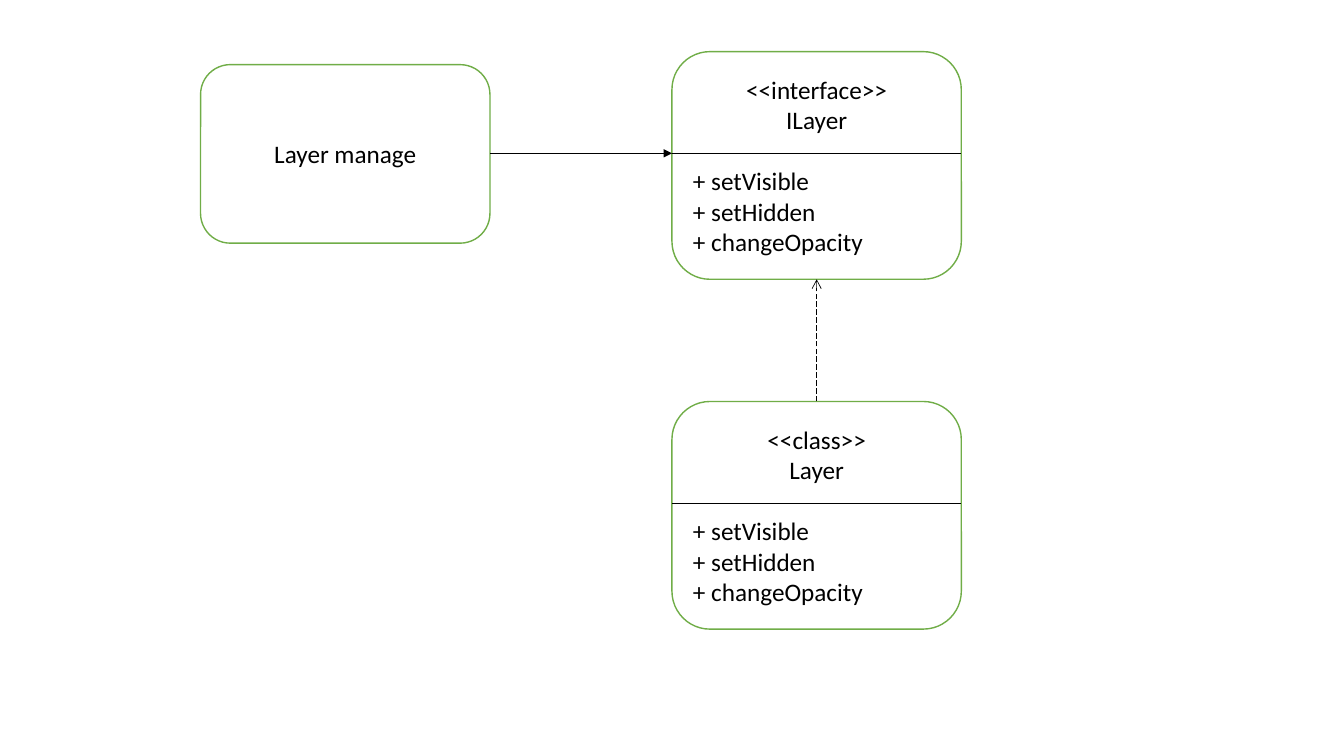
"""Build a class diagram of a layer manager, its interface and a class."""
from dataclasses import dataclass

from lxml.etree import SubElement
from pptx import Presentation
from pptx.dml.color import RGBColor
from pptx.enum.dml import MSO_LINE
from pptx.enum.shapes import MSO_CONNECTOR, MSO_SHAPE
from pptx.enum.text import MSO_ANCHOR, PP_ALIGN
from pptx.oxml.ns import qn
from pptx.slide import Slide
from pptx.util import Inches, Length, Pt

WHITE = RGBColor(0xFF, 0xFF, 0xFF)
BLACK = RGBColor(0x00, 0x00, 0x00)
GREEN = RGBColor(0x70, 0xAD, 0x47)

COLUMNS, ROWS = 160, 90
CELL = Inches(1 / 12)
BOX_COLUMNS = 34.45
CLASS_ROWS = 27.1
HEADER_ROWS = 12.1
MEMBER_GAP = Pt(22)
MEMBERS = ("+ setVisible", "+ setHidden", "+ changeOpacity")
FONT = {"name": "Calibri", "size": Pt(18)}


@dataclass(frozen=True)
class Box:
    """A rounded box with centred titles and an optional member list."""
    column: float
    row: float
    rows: float
    titles: tuple[str, ...]
    members: tuple[str, ...] = ()

    @property
    def right(self) -> float:
        return self.column + BOX_COLUMNS

    @property
    def middle(self) -> float:
        return self.column + BOX_COLUMNS / 2

    @property
    def bottom(self) -> float:
        return self.row + self.rows

    @property
    def divider(self) -> float:
        return self.row + HEADER_ROWS


@dataclass(frozen=True)
class Line:
    """A straight line between two grid points."""
    start: tuple[float, float]
    end: tuple[float, float]
    arrowhead: str = ""
    dash: MSO_LINE | None = None


def cells(count: float) -> Length:
    """Convert grid cells to a length."""
    return Length(round(count * CELL))


def draw_box(page: Slide, box: Box) -> None:
    """Draw a box and write its titles and members."""
    shape = page.shapes.add_shape(
        MSO_SHAPE.ROUNDED_RECTANGLE,
        *map(cells, (box.column, box.row, BOX_COLUMNS, box.rows)))
    shape.shadow.inherit = False
    shape.fill.solid()
    shape.fill.fore_color.rgb = WHITE
    shape.line.color.rgb = GREEN
    shape.line.width = Pt(1)
    frame = shape.text_frame
    frame.word_wrap = True
    frame.vertical_anchor = MSO_ANCHOR.MIDDLE
    for index, text in enumerate(box.titles + box.members):
        para = frame.paragraphs[0] if index == 0 else frame.add_paragraph()
        is_title = index < len(box.titles)
        para.alignment = PP_ALIGN.CENTER if is_title else PP_ALIGN.LEFT
        if index == len(box.titles):
            para.space_before = MEMBER_GAP
        span = para.add_run()
        span.text = text
        span.font.color.rgb = BLACK
        for name, value in FONT.items():
            setattr(span.font, name, value)


def draw_line(page: Slide, line: Line) -> None:
    """Draw a thin black line with its dash and arrowhead."""
    connector = page.shapes.add_connector(
        MSO_CONNECTOR.STRAIGHT, *map(cells, line.start + line.end))
    connector.line.color.rgb = BLACK
    connector.line.width = Pt(0.5)
    if line.dash is not None:
        connector.line.dash_style = line.dash
    if line.arrowhead:
        outline = connector.line._get_or_add_ln()
        SubElement(outline, qn("a:tailEnd"), type=line.arrowhead)
    SubElement(connector._element.spPr, qn("a:effectLst"))


def divide(box: Box) -> Line:
    """Return the line between the titles and members of a box."""
    return Line((box.column, box.divider), (box.right, box.divider))


manager = Box(23.88, 7.7, 21.25, ("Layer manage",))
interface = Box(80, 6.15, CLASS_ROWS, ("<<interface>>", "ILayer"), MEMBERS)
layer = Box(80, 47.8, CLASS_ROWS, ("<<class>>", "Layer"), MEMBERS)
lines = (
    divide(interface),
    Line((manager.right, interface.divider),
         (interface.column, interface.divider), "triangle"),
    divide(layer),
    Line((layer.middle, layer.row), (interface.middle, interface.bottom),
         "arrow", MSO_LINE.LONG_DASH),
)

deck = Presentation()
deck.slide_width, deck.slide_height = cells(COLUMNS), cells(ROWS)
page = deck.slides.add_slide(deck.slide_layouts[6])
for box in (manager, interface, layer):
    draw_box(page, box)
for line in lines:
    draw_line(page, line)
deck.save("out.pptx")
